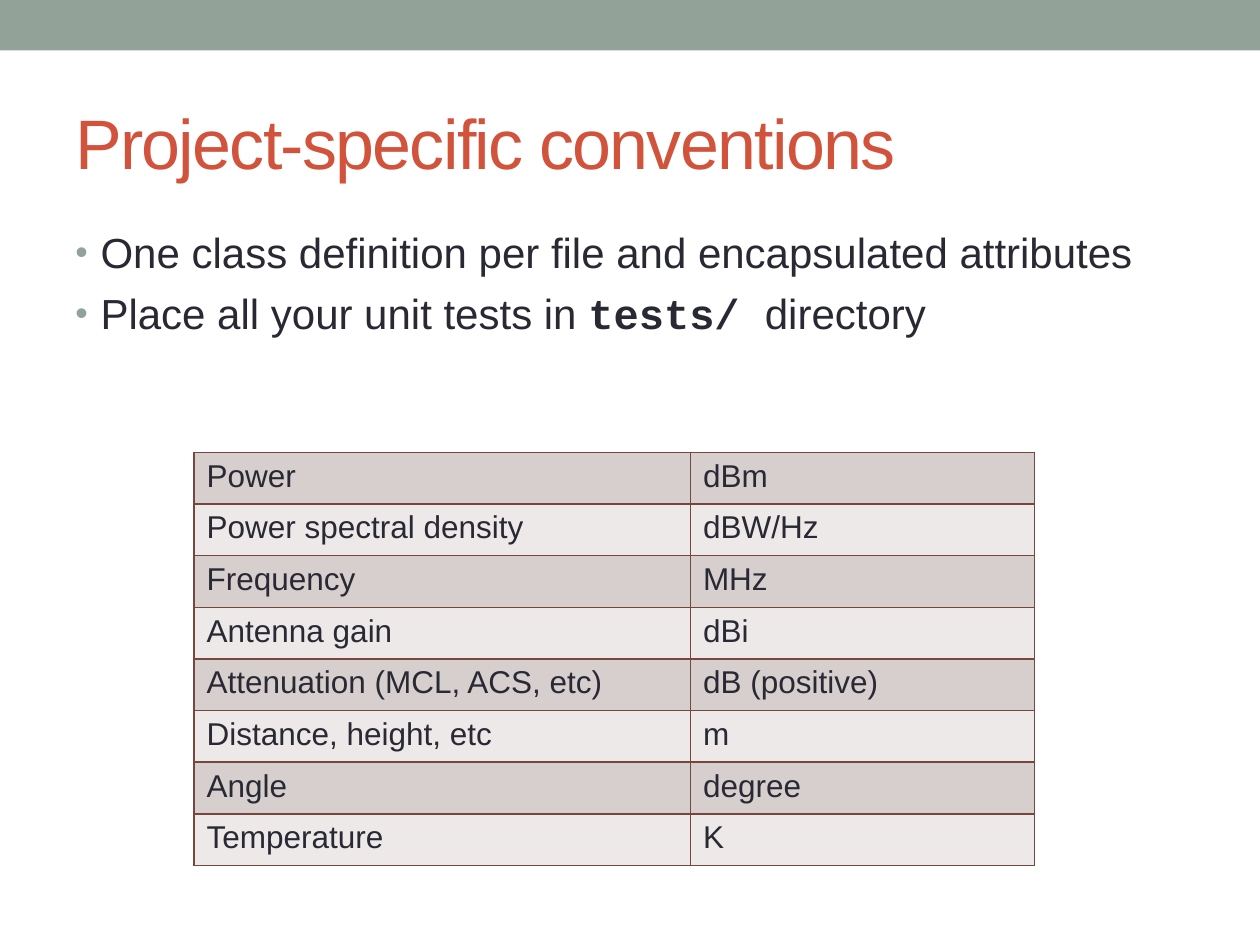
from lxml import etree
from pptx import Presentation
from pptx.dml.color import RGBColor
from pptx.enum.shapes import MSO_SHAPE
from pptx.enum.text import MSO_ANCHOR
from pptx.oxml.ns import qn
from pptx.util import Inches, Pt

RECTANGLE = MSO_SHAPE.RECTANGLE
TOP, MIDDLE = MSO_ANCHOR.TOP, MSO_ANCHOR.MIDDLE

COLORS = {
    "band": "93A299",
    "title": "D2533C",
    "text": "292934",
    "odd_row": "D7CFCE",
    "even_row": "ECE9E8",
    "border": "79463D",
}
TITLE = {"size": Pt(40), "name": "Arial", "bold": False}
BODY = {"size": Pt(24), "name": "Arial", "bold": False}
CODE = {"size": Pt(24), "name": "Courier New", "bold": True}
CELL = {"size": Pt(18), "name": "Arial", "bold": False}

BULLETS = [
    [("One class definition per file and encapsulated attributes", BODY)],
    [("Place all your unit tests in ", BODY), ("tests/ ", CODE), ("directory", BODY)],
]
UNITS = [
    ("Power", "dBm"),
    ("Power spectral density", "dBW/Hz"),
    ("Frequency", "MHz"),
    ("Antenna gain", "dBi"),
    ("Attenuation (MCL, ACS, etc)", "dB (positive)"),
    ("Distance, height, etc", "m"),
    ("Angle", "degree"),
    ("Temperature", "K"),
]
COLUMN_WIDTHS = (3.94, 2.73)
ROW_HEIGHT = 0.41


def rgb(name):
    """Return the named colour."""
    return RGBColor.from_string(COLORS[name])


def add_element(parent, tag, **attributes):
    """Append a child element with attributes and return it."""
    return etree.SubElement(parent, qn(tag), attributes)


def add_span(para, text, style, color="text"):
    """Add a formatted run to a paragraph and return it."""
    span = para.add_run()
    span.text = text
    for key, value in style.items():
        setattr(span.font, key, value)
    span.font.color.rgb = rgb(color)
    return span


def add_box(page, left, top, width, height, anchor):
    """Add a wrapping text box and return its text frame."""
    box = page.shapes.add_textbox(Inches(left), Inches(top), Inches(width), Inches(height))
    frame = box.text_frame
    frame.word_wrap = True
    frame.vertical_anchor = anchor
    return frame


def add_band(page):
    """Add the coloured band along the top edge."""
    band = page.shapes.add_shape(RECTANGLE, 0, 0, Inches(10), Inches(0.4))
    band.shadow.inherit = False
    band.fill.solid()
    band.fill.fore_color.rgb = rgb("band")
    band.line.fill.background()


def add_title(page, text):
    """Add the tightly spaced title."""
    frame = add_box(page, 0.5, 0.58, 9, 1.08, MIDDLE)
    span = add_span(frame.paragraphs[0], text, TITLE, "title")
    span.font._element.set("spc", "-100")


def set_bullet(para):
    """Give a paragraph a hanging coloured bullet."""
    properties = para._p.get_or_add_pPr()
    properties.set("marL", str(Inches(0.2)))
    properties.set("indent", str(-Inches(0.2)))
    color = add_element(properties, "a:buClr")
    add_element(color, "a:srgbClr", val=COLORS["band"])
    add_element(properties, "a:buSzPct", val="85000")
    add_element(properties, "a:buFont", typeface="Arial")
    add_element(properties, "a:buChar", char="•")


def add_bullets(page, items):
    """Add the bulleted body text."""
    frame = add_box(page, 0.5, 1.75, 9, 5.33, TOP)
    for index, spans in enumerate(items):
        para = frame.add_paragraph() if index else frame.paragraphs[0]
        para.space_before = Pt(6)
        set_bullet(para)
        for text, style in spans:
            add_span(para, text, style)


def set_borders(cell):
    """Draw a thin line on all four sides of a cell."""
    properties = cell._tc.get_or_add_tcPr()
    for index, side in enumerate(("a:lnL", "a:lnR", "a:lnT", "a:lnB")):
        line = etree.Element(qn(side), {"w": str(Pt(1))})
        fill = add_element(line, "a:solidFill")
        add_element(fill, "a:srgbClr", val=COLORS["border"])
        properties.insert(index, line)


def add_units_table(page, rows):
    """Add the table of quantities and their units."""
    table = page.shapes.add_table(
        len(rows), len(COLUMN_WIDTHS), Inches(1.54), Inches(3.59),
        Inches(sum(COLUMN_WIDTHS)), Inches(ROW_HEIGHT * len(rows)),
    ).table
    table.first_row = False
    for column, width in zip(table.columns, COLUMN_WIDTHS):
        column.width = Inches(width)
    for index, (row, texts) in enumerate(zip(table.rows, rows)):
        row.height = Inches(ROW_HEIGHT)
        for cell, text in zip(row.cells, texts):
            add_span(cell.text_frame.paragraphs[0], text, CELL)
            cell.fill.solid()
            cell.fill.fore_color.rgb = rgb("even_row" if index % 2 else "odd_row")
            set_borders(cell)


def main():
    """Build and save the deck."""
    deck = Presentation()
    deck.slide_width, deck.slide_height = Inches(10), Inches(7.5)
    page = deck.slides.add_slide(deck.slide_layouts[6])
    add_band(page)
    add_title(page, "Project-specific conventions")
    add_bullets(page, BULLETS)
    add_units_table(page, UNITS)
    deck.save("out.pptx")


if __name__ == "__main__":
    main()
